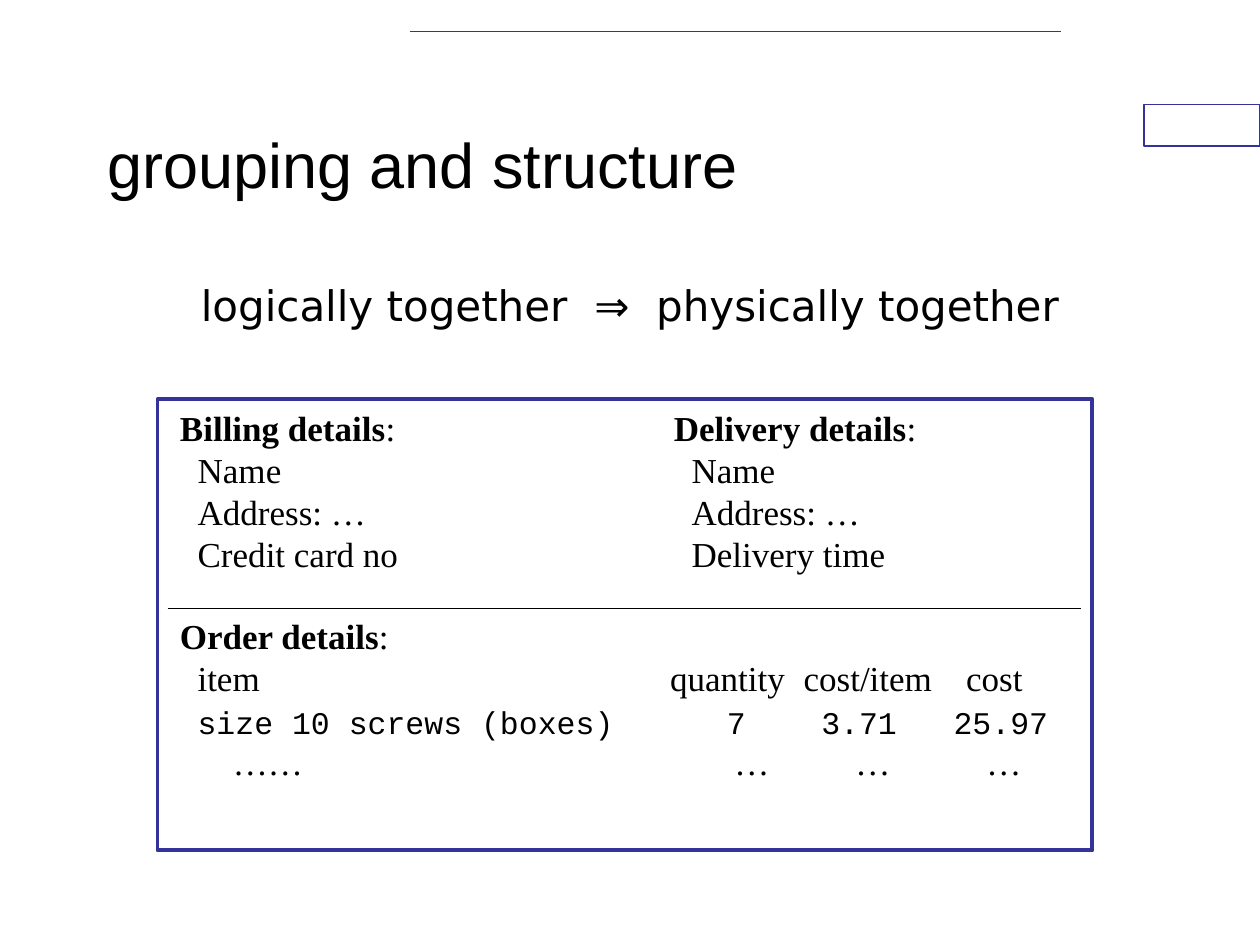
from dataclasses import dataclass

from lxml.etree import SubElement
from pptx import Presentation
from pptx.dml.color import RGBColor
from pptx.enum.shapes import MSO_CONNECTOR, MSO_SHAPE
from pptx.enum.text import MSO_ANCHOR, MSO_AUTO_SIZE, PP_ALIGN
from pptx.oxml.ns import qn
from pptx.util import Inches, Pt

BLACK = RGBColor(0x00, 0x00, 0x00)
WHITE = RGBColor(0xFF, 0xFF, 0xFF)
NAVY = RGBColor(0x33, 0x33, 0x99)

TITLE = {"name": "Arial", "size": Pt(36)}
BODY = {"name": "DejaVu Sans", "size": Pt(24)}
FORM = {"name": "Times New Roman", "size": Pt(20)}
CODE = {"name": "Courier New", "size": Pt(18)}

INDENT = 0.14


@dataclass
class Row:
    """Cells of one line, each set at its own tab stop."""
    cells: tuple
    tabs: tuple = (INDENT,)
    fmt: dict = None


@dataclass
class Section:
    heading: str
    left: float
    top: float
    width: float
    height: float
    rows: list


SECTIONS = [
    Section("Billing details", 1.33, 3.18, 3.18, 1.43,
            [Row((t,)) for t in ("Name", "Address: …", "Credit card no")]),
    Section("Delivery details", 5.25, 3.18, 3.18, 1.43,
            [Row((t,)) for t in ("Name", "Address: …", "Delivery time")]),
    Section("Order details", 1.33, 4.83, 7.33, 1.77, [
        Row(("item", "quantity", "cost/item", "cost"), (INDENT, 3.89, 4.95, 6.24)),
        Row(("size 10 screws (boxes)", "7", "3.71", "25.97"),
            (INDENT, 4.34, 5.09, 6.14), CODE),
        Row(("……", "…", "…", "…"), (0.42, 4.4, 5.36, 6.4)),
    ]),
]


def add_run(p, text: str, fmt: dict):
    r = p.add_run()
    r.text = text
    for name, value in fmt.items():
        setattr(r.font, name, value)
    r.font.color.rgb = BLACK
    return r


def set_tabs(p, tabs: tuple) -> None:
    tab_list = SubElement(p._p.get_or_add_pPr(), qn("a:tabLst"))
    for pos in tabs:
        SubElement(tab_list, qn("a:tab"), pos=str(Inches(pos)), algn="l")


def add_box(s, left: float, top: float, width: float, height: float, weight: float) -> None:
    sp = s.shapes.add_shape(MSO_SHAPE.RECTANGLE, Inches(left), Inches(top),
                            Inches(width), Inches(height))
    sp.shadow.inherit = False
    sp.fill.solid()
    sp.fill.fore_color.rgb = WHITE
    sp.line.color.rgb = NAVY
    sp.line.width = Pt(weight)


def add_rule(s, left: float, right: float, y: float, color: RGBColor) -> None:
    line = s.shapes.add_connector(MSO_CONNECTOR.STRAIGHT, Inches(left), Inches(y),
                                  Inches(right), Inches(y))
    line.line.color.rgb = color
    line.line.width = Pt(1)
    SubElement(line._element.spPr, qn("a:effectLst"))


def place(sp, left: float, top: float, width: float, height: float):
    sp.left, sp.top, sp.width, sp.height = map(Inches, (left, top, width, height))
    sp.text_frame.auto_size = MSO_AUTO_SIZE.NONE
    return sp.text_frame


def add_section(s, section: Section) -> None:
    box = s.shapes.add_textbox(Inches(section.left), Inches(section.top),
                               Inches(section.width), Inches(section.height))
    tf = box.text_frame
    tf.word_wrap = True
    p = tf.paragraphs[0]
    add_run(p, section.heading, FORM | {"bold": True})
    add_run(p, ":", FORM)
    for row in section.rows:
        p = tf.add_paragraph()
        set_tabs(p, row.tabs)
        add_run(p, "".join(f"\t{cell}" for cell in row.cells), row.fmt or FORM)
    for p in tf.paragraphs:
        p.line_spacing = Pt(24)


def main() -> None:
    prs = Presentation()
    prs.slide_width, prs.slide_height = Inches(10), Inches(7.5)
    s = prs.slides.add_slide(prs.slide_layouts[1])

    # Page decoration
    add_box(s, 9.08, 0.83, 0.92, 0.33, 0.75)
    add_rule(s, 3.25, 8.42, 0.25, NAVY)

    # Title
    tf = place(s.shapes.title, 0.75, 0.67, 7.5, 1.25)
    tf.vertical_anchor = MSO_ANCHOR.MIDDLE
    p = tf.paragraphs[0]
    p.alignment = PP_ALIGN.LEFT
    add_run(p, "grouping and structure", TITLE)

    # Principle, with widened spaces around the arrow
    p = place(s.placeholders[1], 0.75, 2.17, 8.5, 4.5).paragraphs[0]
    pPr = p._p.get_or_add_pPr()
    pPr.set("marL", str(Inches(0.38)))
    pPr.set("indent", str(Inches(-0.38)))
    SubElement(pPr, qn("a:buNone"))
    p.alignment = PP_ALIGN.CENTER
    p.space_before = Pt(0)
    for text in ("logically together", " ", "⇒", " ", "physically together"):
        r = add_run(p, text, BODY)
        if text == " ":
            r.font._element.set("spc", "760")

    # Order form
    add_box(s, 1.25, 3.17, 7.42, 3.58, 2.25)
    add_rule(s, 1.33, 8.58, 4.83, BLACK)
    for section in SECTIONS:
        add_section(s, section)

    prs.save("out.pptx")


if __name__ == "__main__":
    main()
